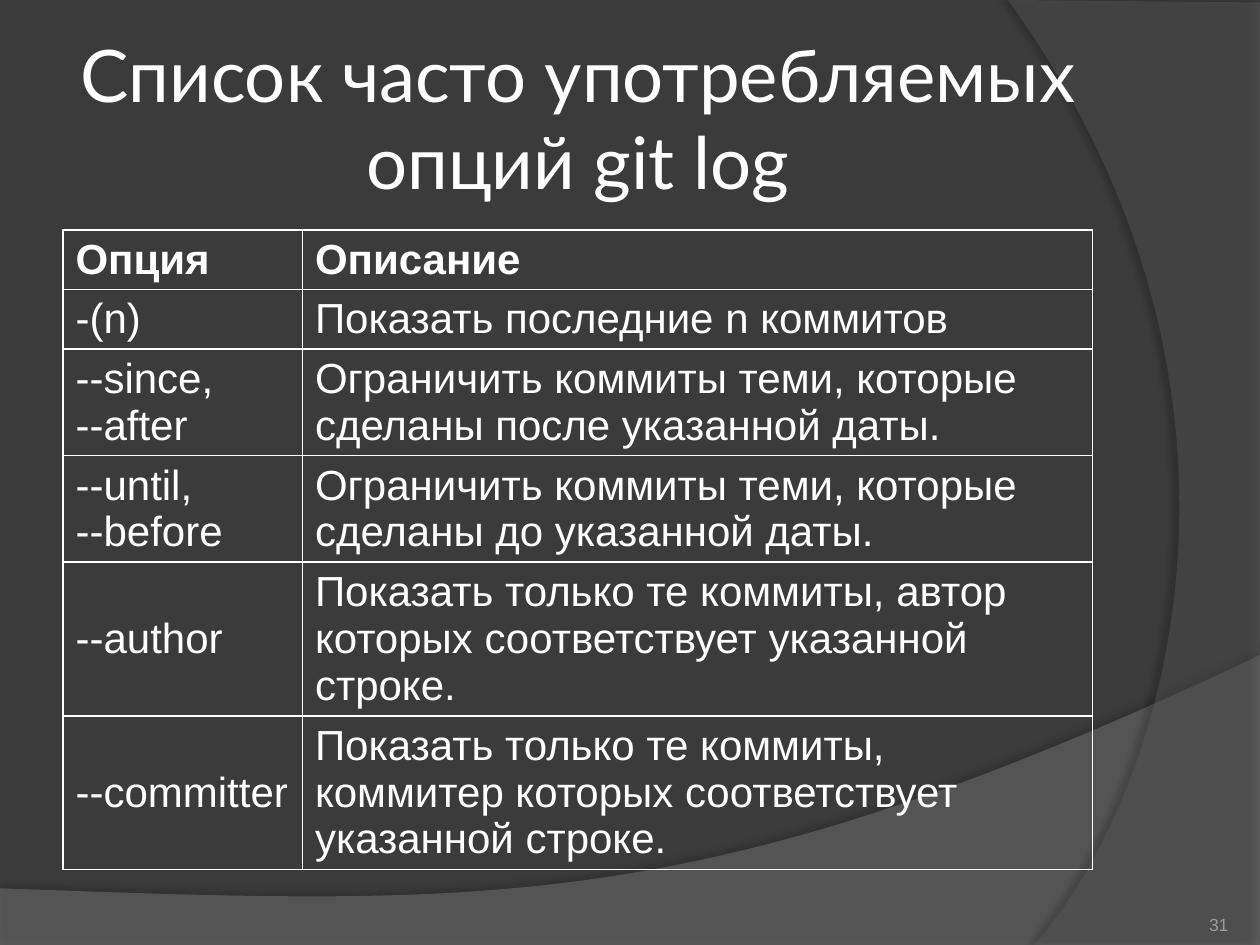
from lxml import etree
from pptx import Presentation
from pptx.dml.color import RGBColor
from pptx.enum import text
from pptx.oxml import ns
from pptx.util import Inches, Pt

TITLE_ONLY = 5
OPTIONS = [  # option, description, lines of text in the row
    ("Опция", "Описание", 1),
    ("-(n)", "Показать последние n коммитов", 1),
    ("--since,\n--after",
     "Ограничить коммиты теми, которые сделаны после указанной даты.", 2),
    ("--until,\n--before",
     "Ограничить коммиты теми, которые сделаны до указанной даты.", 2),
    ("--author",
     "Показать только те коммиты, автор которых соответствует указанной строке.", 3),
    ("--committer",
     "Показать только те коммиты, коммитер которых соответствует указанной строке.", 3),
]


def color(value):
    return RGBColor.from_string(value)


def element(parent, tag, **attributes):
    values = {name: str(value) for name, value in attributes.items()}
    return etree.SubElement(parent, ns.qn(tag), values)


def write(frame, content, size, font="Arial", fill="FFFFFF", bold=False,
          align=text.PP_ALIGN.LEFT):
    frame.text = content
    for paragraph in frame.paragraphs:
        paragraph.alignment = align
        for run in paragraph.runs:
            run.font.size, run.font.name, run.font.bold = Pt(size), font, bold
            run.font.color.rgb = color(fill)


def curve(*controls, steps=48):
    """Points along a cubic Bezier curve, both ends included."""
    def point(t):
        weights = ((1 - t) ** 3, 3 * t * (1 - t) ** 2, 3 * t ** 2 * (1 - t), t ** 3)
        return tuple(sum(w * c[axis] for w, c in zip(weights, controls)) for axis in (0, 1))
    return [point(step / steps) for step in range(steps + 1)]


class Deck:
    """Holds the style and the current slide; positions are percent of the slide."""

    def __init__(self, background="3B3B3B"):
        self.presentation = Presentation()
        self.presentation.slide_width = Inches(10)
        self.presentation.slide_height = Inches(7.5)
        layout = self.presentation.slide_layouts[TITLE_ONLY]
        self.slide = self.presentation.slides.add_slide(layout)
        self.slide.background.fill.solid()
        self.slide.background.fill.fore_color.rgb = color(background)

    def at(self, *shares):
        sides = (self.presentation.slide_width, self.presentation.slide_height)
        return [round(share * sides[i % 2] / 100) for i, share in enumerate(shares)]

    def wave(self, points, fill, opacity, shadow_opacity, distance, direction):
        start, *rest = [self.at(*point) for point in points]
        builder = self.slide.shapes.build_freeform(*start)
        builder.add_line_segments(rest, close=True)
        shape = builder.convert_to_shape()
        shape.line.fill.background()
        shape.fill.solid()
        shape.fill.fore_color.rgb = color(fill)
        solid = shape.element.spPr.find(ns.qn("a:solidFill"))
        element(solid[0], "a:alpha", val=opacity * 1000)
        # Soft shadow along the edge
        shape.shadow.inherit = False
        effects = shape.element.spPr.find(ns.qn("a:effectLst"))
        shadow = element(effects, "a:outerShdw", blurRad=Pt(4), dist=Pt(distance),
                         dir=direction * 60000, algn="ctr", rotWithShape=0)
        shade = element(shadow, "a:srgbClr", val="000000")
        element(shade, "a:alpha", val=shadow_opacity * 1000)

    def place_text(self, shape, box, content, size, anchor, inset, **style):
        shape.left, shape.top, shape.width, shape.height = self.at(*box)
        frame = shape.text_frame
        frame.word_wrap, frame.auto_size = True, text.MSO_AUTO_SIZE.NONE
        frame.vertical_anchor = anchor
        frame.margin_left = frame.margin_right = Inches(inset)
        frame.margin_top = frame.margin_bottom = Inches(inset)
        write(frame, content, size, **style)

    def title(self, box, content):
        shape = self.slide.shapes.title
        shape.element.getparent().append(shape.element)  # in front of the waves
        self.place_text(shape, box, content, 41.4, text.MSO_ANCHOR.MIDDLE, 0.05,
                        font="Lato", align=text.PP_ALIGN.CENTER)

    def number(self, box, content):
        shape = self.slide.shapes.add_textbox(0, 0, 0, 0)
        self.place_text(shape, box, content, 10, text.MSO_ANCHOR.BOTTOM, 0,
                        fill="9D9B9A", align=text.PP_ALIGN.RIGHT)

    def border(self, cell):
        properties = cell._tc.get_or_add_tcPr()
        for index, side in enumerate(("a:lnL", "a:lnR", "a:lnT", "a:lnB")):
            line = element(properties, side, w=Pt(1))
            element(element(line, "a:solidFill"), "a:srgbClr", val="FFFFFF")
            properties.insert(index, line)

    def table(self, box, rows, columns, line_height=0.373, padding=0.1):
        frame = self.slide.shapes.add_table(len(rows), len(columns), *self.at(*box))
        table = frame.table
        table.horz_banding = False
        for column, share in zip(table.columns, columns):
            column.width = self.at(share)[0]
        for index, (*contents, lines) in enumerate(rows):
            table.rows[index].height = Inches(lines * line_height + padding)
            for cell, content in zip(table.rows[index].cells, contents):
                write(cell.text_frame, content, 24, bold=index == 0)
                cell.vertical_anchor = text.MSO_ANCHOR.MIDDLE
                cell.fill.background()
                self.border(cell)


def main():
    deck = Deck()
    # Background waves
    bottom = curve((100, 69.33), (55.9, 97.2), (39.1, 95.87), (0, 94))
    deck.wave([(0, 100), (100, 100)] + bottom, "7F7F7F", 45, 35, 3.5, 270)
    right = curve((82.1, 100), (93.5, 82.53), (101.8, 40), (80, 0))
    deck.wave([(100, 0.27), (100, 100)] + right, "5E5E5E", 40, 45, 4, 180)
    # Title, table of options and slide number
    deck.title((5, 4, 81.7, 16.67), "Список часто употребляемых опций git log")
    deck.table((5, 24.33, 81.7, 67.5), OPTIONS, columns=(19, 62.7))
    deck.number((89.2, 93.6, 8.3, 5.33), "31")
    deck.presentation.save("out.pptx")


if __name__ == "__main__":
    main()
